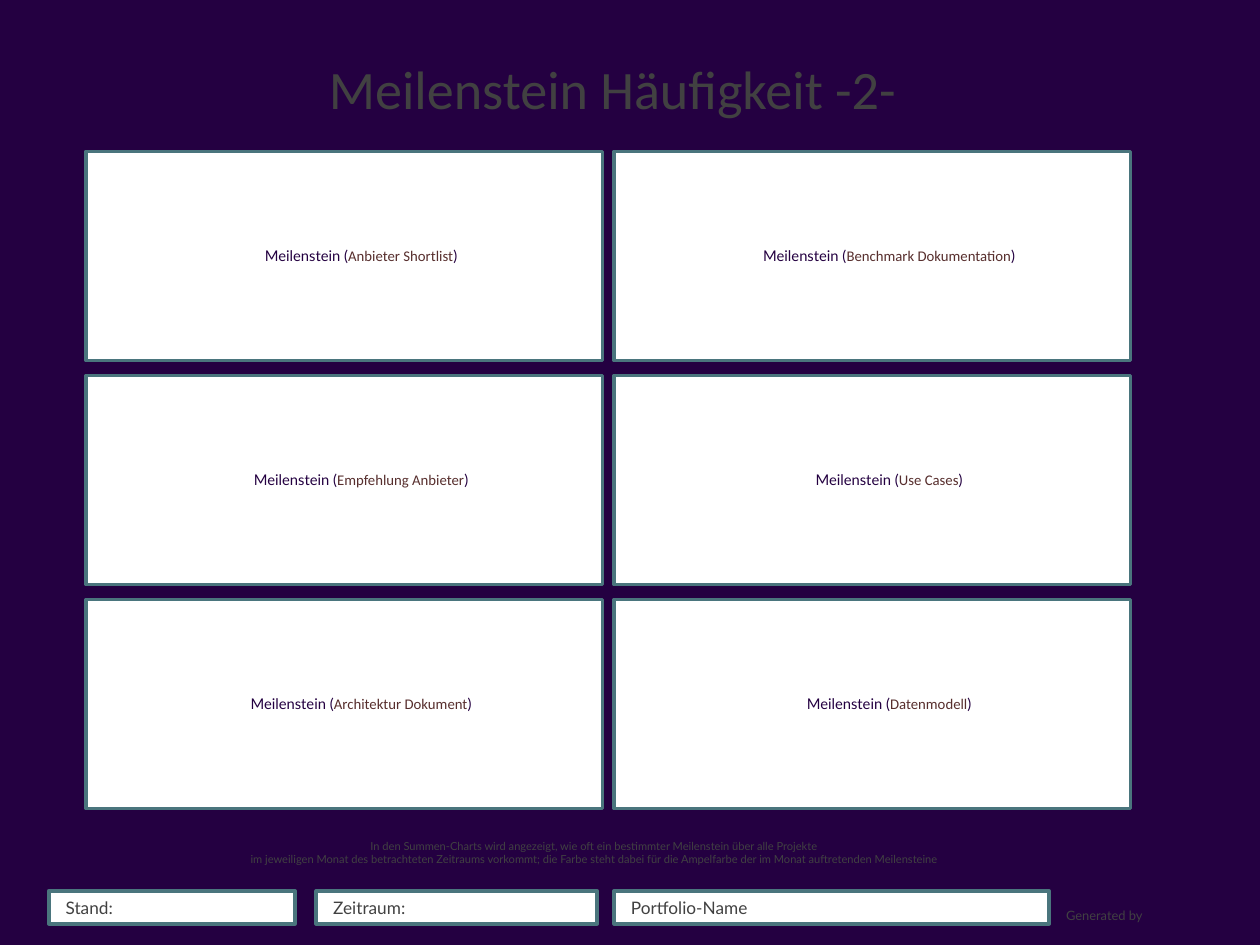
import pptx
import pptx.dml.color
import pptx.enum.shapes
import pptx.enum.text
import pptx.util

COLORS = {
    "background": "240041",
    "panel": "FFFFFF",
    "border": "4A757D",
    "text": "414141",
    "milestone": "572E2D",
}
SLIDE_WIDTH, SLIDE_HEIGHT = 14.22, 10.67
COLUMNS = (0.97, 6.93)
PANEL_TOP, ROW_STEP = 1.71, 2.53
PANEL_WIDTH, PANEL_HEIGHT = 5.83, 2.36
FIELD_TOP, FIELD_HEIGHT = 10.06, 0.37
MILESTONES = (
    ("Anbieter Shortlist", "Benchmark Dokumentation"),
    ("Empfehlung Anbieter", "Use Cases"),
    ("Architektur Dokument", "Datenmodell"),
)
FIELDS = (
    ("Stand:", 0.55, 2.78),
    ("Zeitraum:", 3.57, 3.17),
    ("Portfolio-Name", COLUMNS[1], 4.91),
)
CAPTION = (
    "In den Summen-Charts wird angezeigt, wie oft ein bestimmter Meilenstein über alle Projekte",
    "im jeweiligen Monat des betrachteten Zeitraums vorkommt; die Farbe steht dabei für "
    "die Ampelfarbe der im Monat auftretenden Meilensteine",
)
ALIGN = pptx.enum.text.PP_ALIGN
ANCHOR = pptx.enum.text.MSO_ANCHOR


def inches(values):
    return [pptx.util.Inches(value) for value in values]


def rgb(name):
    return pptx.dml.color.RGBColor.from_string(COLORS[name])


def add_run(paragraph, text, size, color="text", font="Lato"):
    run = paragraph.add_run()
    run.text = text
    run.font.size = pptx.util.Pt(size)
    run.font.name = font
    run.font.color.rgb = rgb(color)


def set_insets(frame, left, top, right, bottom):
    frame.margin_left, frame.margin_top, frame.margin_right, frame.margin_bottom = inches(
        (left, top, right, bottom))


def add_text(slide, box, lines, size, font="Lato", wrap=True):
    frame = slide.shapes.add_textbox(*inches(box)).text_frame
    frame.word_wrap = wrap
    paragraph = frame.paragraphs[0]
    paragraph.alignment = ALIGN.CENTER
    for index, line in enumerate(lines):
        if index:
            paragraph.add_line_break()
        add_run(paragraph, line, size, font=font)
    return frame


def add_box(slide, box, left_inset, indent, alignment):
    shape = slide.shapes.add_shape(pptx.enum.shapes.MSO_SHAPE.RECTANGLE, *inches(box))
    shape.shadow.inherit = False
    shape.fill.solid()
    shape.fill.fore_color.rgb = rgb("panel")
    shape.line.color.rgb = rgb("border")
    shape.line.width = pptx.util.Pt(3)
    frame = shape.text_frame
    frame.word_wrap = True
    frame.vertical_anchor = ANCHOR.MIDDLE
    set_insets(frame, left_inset, 0.06, 0.06, 0.06)
    paragraph = frame.paragraphs[0]
    paragraph.alignment = alignment
    properties = paragraph._p.get_or_add_pPr()
    properties.set("marL", str(pptx.util.Inches(indent)))
    properties.set("indent", "0")
    return paragraph


def add_panel(slide, left, top, milestone):
    paragraph = add_box(slide, (left, top, PANEL_WIDTH, PANEL_HEIGHT), 0.06, 0.38, ALIGN.CENTER)
    add_run(paragraph, "Meilenstein (", 12, "background")
    add_run(paragraph, milestone, 12, "milestone", "Calibri")
    add_run(paragraph, ")", 12, "background")


def add_field(slide, label, left, width):
    paragraph = add_box(slide, (left, FIELD_TOP, width, FIELD_HEIGHT), 0, 0.19, ALIGN.LEFT)
    add_run(paragraph, label, 14)


def main():
    presentation = pptx.Presentation()
    presentation.slide_width, presentation.slide_height = inches((SLIDE_WIDTH, SLIDE_HEIGHT))
    slide = presentation.slides.add_slide(presentation.slide_layouts[6])
    slide.background.fill.solid()
    slide.background.fill.fore_color.rgb = rgb("background")

    add_text(slide, (11.89, 10.2, 1.18, 0.29), ["Generated by "], 10.5, wrap=False)
    title = add_text(slide, (0.18, 0.31, 13.47, 1.36), ["Meilenstein Häufigkeit -2-"], 44, "Calibri")
    title.vertical_anchor = ANCHOR.MIDDLE
    set_insets(title, 0, 0, 0, 0)
    for row, milestones in enumerate(MILESTONES):
        for left, milestone in zip(COLUMNS, milestones):
            add_panel(slide, left, PANEL_TOP + row * ROW_STEP, milestone)
    for field in FIELDS:
        add_field(slide, *field)
    add_text(slide, (1.05, 9.43, 11.3, 0.4), CAPTION, 9)
    presentation.save("out.pptx")


main()
